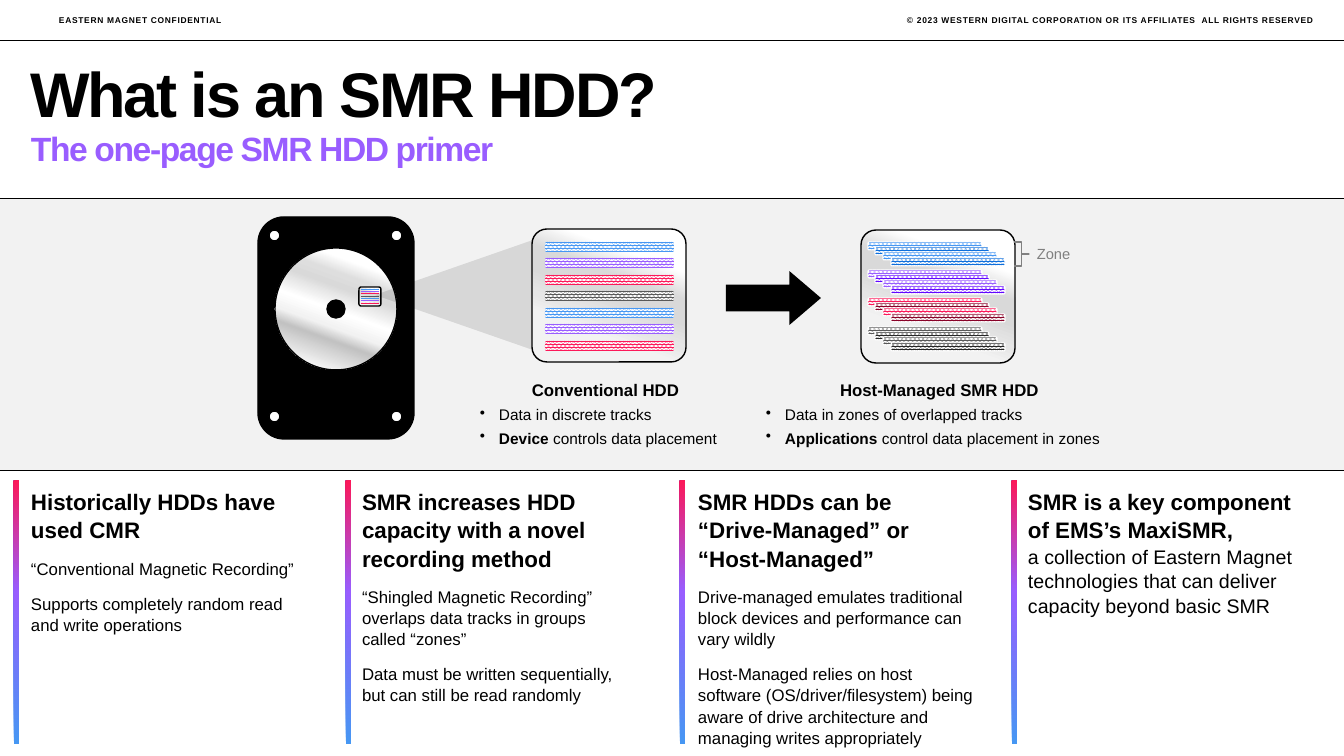
from dataclasses import dataclass

from lxml import etree
from pptx import Presentation
from pptx import util as u
from pptx.dml import color
from pptx.enum import dml, shapes, text
from pptx.oxml import ns

RGB = color.RGBColor
BLACK = RGB(0x00, 0x00, 0x00)
WHITE = RGB(0xFF, 0xFF, 0xFF)
BAND_GREY = RGB(0xF2, 0xF2, 0xF2)
ZONE_GREY = RGB(0x80, 0x80, 0x80)
BLUE = RGB(0x46, 0x97, 0xF3)
DEEP_BLUE = RGB(0x0E, 0x6F, 0xDC)
PURPLE = RGB(0x99, 0x5D, 0xFF)
DEEP_PURPLE = RGB(0x62, 0x06, 0xFF)
PINK = RGB(0xFC, 0x18, 0x59)
DEEP_PINK = RGB(0x88, 0x02, 0x28)
GREY = RGB(0x59, 0x59, 0x59)
DEEP_GREY = RGB(0x26, 0x26, 0x26)
SILVER = RGB(0xD9, 0xD9, 0xD9)
LIGHT_SILVER = RGB(0xDE, 0xDE, 0xDE)
PALE = RGB(0xE6, 0xE6, 0xE6)
DARK_SILVER = RGB(0xC2, 0xC2, 0xC2)

PLATTER_STOPS = ((18, WHITE), (28, LIGHT_SILVER), (36, SILVER), (51, WHITE),
                 (62, BAND_GREY), (70, DARK_SILVER), (88, BAND_GREY))
WINDOW_STOPS = ((23, WHITE), (38, SILVER), (50, SILVER), (63, PALE), (73, BAND_GREY))
BAR_STOPS = ((0, BLUE), (58, PURPLE), (100, PINK))
TRACK_COLOURS = (BLUE, PURPLE, PINK, GREY, BLUE, PURPLE, PINK)
ZONE_COLOURS = ((BLUE, DEEP_BLUE), (PURPLE, DEEP_PURPLE),
                (PINK, DEEP_PINK), (GREY, DEEP_GREY))

Kind = shapes.MSO_SHAPE
Align = text.PP_ALIGN
Anchor = text.MSO_ANCHOR


@dataclass(frozen=True)
class Box:
    x: int
    y: int
    w: int
    h: int


@dataclass(frozen=True)
class Run:
    words: str
    size: float
    bold: bool = False


@dataclass(frozen=True)
class Para:
    runs: tuple[Run, ...]
    bullet: bool = False
    align: Align = Align.LEFT


@dataclass(frozen=True)
class Topic:
    bar_x: int
    x: int
    w: int
    paras: tuple[Para, ...]


def px(n: float) -> int:
    return round(n * 914400 / 100.8)


def line(*runs: Run, bullet: bool = False, align: Align = Align.LEFT) -> Para:
    return Para(runs, bullet, align)


def heading(words: str) -> Para:
    return line(Run(words, 16, True))


def body(words: str) -> Para:
    return line(Run(words, 12))


def add_text(slide, box: Box, paras: tuple[Para, ...], *, colour=BLACK,
             insets=(0, 0, 0, 0), anchor=Anchor.TOP, spacing=None,
             before=0, after=0, tracking=0) -> None:
    frame = slide.shapes.add_textbox(px(box.x), px(box.y), px(box.w), px(box.h)).text_frame
    frame.word_wrap = True
    frame.vertical_anchor = anchor
    (frame.margin_left, frame.margin_top,
     frame.margin_right, frame.margin_bottom) = (px(n) for n in insets)
    for i, para in enumerate(paras):
        p = frame.add_paragraph() if i else frame.paragraphs[0]
        if para.bullet:
            props = p._p.get_or_add_pPr()
            props.set("marL", str(px(19)))
            props.set("indent", str(px(-19)))
            etree.SubElement(props, ns.qn("a:buChar"), char="•")
        p.alignment = para.align
        p.line_spacing = spacing
        p.space_before = u.Pt(before if i else 0)
        p.space_after = u.Pt(after)
        for run in para.runs:
            for k, piece in enumerate(run.words.split("\n")):
                if k:
                    p.add_line_break()
                    etree.SubElement(p._p[-1], ns.qn("a:rPr"), sz=str(int(run.size * 100)))
                if piece:
                    r = p.add_run()
                    r.text = piece
                    r.font.name = "Arial"
                    r.font.size = u.Pt(run.size)
                    r.font.bold = run.bold
                    r.font.color.rgb = colour
                    if tracking:
                        r.font._element.set("spc", str(int(tracking * 100)))


def add_shape(slide, kind: Kind, box: Box, *, fill=None, outline=None, width=1.0, adjust=()):
    shape = slide.shapes.add_shape(kind, px(box.x), px(box.y), px(box.w), px(box.h))
    shape.shadow.inherit = False
    for i, value in enumerate(adjust):
        shape.adjustments[i] = value
    if fill is None:
        shape.fill.background()
    else:
        shape.fill.solid()
        shape.fill.fore_color.rgb = fill
    if outline is None:
        shape.line.fill.background()
    else:
        shape.line.color.rgb = outline
        shape.line.width = u.Pt(width)
    return shape


def shade(shape, stops: tuple, angle: int) -> None:
    shape.fill.gradient()
    shape.fill.gradient_angle = 360 - angle
    stop_list = shape.element.spPr.find(".//" + ns.qn("a:gsLst"))
    stop_list.clear()
    for pos, rgb in stops:
        stop = etree.SubElement(stop_list, ns.qn("a:gs"), pos=str(pos * 1000))
        etree.SubElement(stop, ns.qn("a:srgbClr"), val=str(rgb))


def add_track(slide, box: Box, colour: RGB, outline=None) -> None:
    track = add_shape(slide, Kind.ROUNDED_RECTANGLE, box, outline=outline, width=0.75)
    track.fill.patterned()
    track.fill.pattern = dml.MSO_PATTERN.PERCENT_80
    track.fill.fore_color.rgb = colour
    track.fill.back_color.rgb = WHITE


def add_window(slide, box: Box) -> None:
    window = add_shape(slide, Kind.ROUNDED_RECTANGLE, box, outline=BLACK, adjust=(0.112,))
    shade(window, WINDOW_STOPS, 110)


def add_rule(slide, y: int) -> None:
    rule = slide.shapes.add_connector(shapes.MSO_CONNECTOR.STRAIGHT, 0, px(y), px(1344), px(y))
    rule.line.color.rgb = BLACK
    rule.line.width = u.Pt(0.5)
    etree.SubElement(rule.element.spPr, ns.qn("a:effectLst"))


def add_drive(slide) -> None:
    add_shape(slide, Kind.ROUNDED_RECTANGLE, Box(258, 217, 156, 222), fill=BLACK, outline=BLACK)
    platter = add_shape(slide, Kind.OVAL, Box(275, 248, 122, 122), outline=BLACK)
    shade(platter, PLATTER_STOPS, 110)
    add_shape(slide, Kind.OVAL, Box(327, 300, 18, 18), fill=BLACK, outline=BLACK)
    for y in (230, 411):
        for x in (269, 391):
            add_shape(slide, Kind.OVAL, Box(x, y, 11, 11), fill=WHITE, outline=BLACK)
    add_window(slide, Box(359, 287, 22, 19))
    for i, colour in enumerate(TRACK_COLOURS):
        add_track(slide, Box(361, 289 + i * 7 // 3, 18, 1), colour)


def add_layouts(slide) -> None:
    cone = add_shape(slide, Kind.ISOSCELES_TRIANGLE, Box(399, 216, 110, 158), fill=BLACK)
    cone.rotation = 270
    tint = cone.element.spPr.find(ns.qn("a:solidFill"))[0]
    etree.SubElement(tint, ns.qn("a:alpha"), val="11000")
    add_window(slide, Box(532, 229, 154, 133))
    add_window(slide, Box(861, 230, 154, 133))
    for i, colour in enumerate(TRACK_COLOURS):
        add_track(slide, Box(545, 242 + i * 33 // 2, 129, 10), colour)
    for i, pair in enumerate(ZONE_COLOURS):
        for j in range(4):
            place = Box(868 + j * 23 // 3, 242 + i * 85 // 3 + j * 16 // 3, 114, 8)
            add_track(slide, place, pair[j % 2], WHITE)
    add_shape(slide, Kind.RIGHT_ARROW, Box(726, 271, 95, 54), fill=BLACK, adjust=(0.5, 0.585))
    add_shape(slide, Kind.RIGHT_BRACE, Box(1014, 242, 15, 24), outline=ZONE_GREY, adjust=(0, 0.5))
    add_text(slide, Box(1027, 240, 80, 28), (line(Run("Zone", 10.5)),),
             colour=ZONE_GREY, insets=(10, 5, 10, 5))


CAPTIONS = (
    (Box(470, 374, 271, 77), "Conventional HDD", "Data in discrete tracks",
     "Device", " controls data placement"),
    (Box(756, 374, 367, 77), "Host-Managed SMR HDD", "Data in zones of overlapped tracks",
     "Applications", " control data placement in zones"),
)
TOPICS = (
    Topic(14, 30, 281, (
        heading("Historically HDDs have used CMR"),
        body("“Conventional Magnetic Recording”"),
        body("Supports completely random read and write operations"))),
    Topic(346, 361, 263, (
        heading("SMR increases HDD capacity with a novel recording method"),
        body("“Shingled Magnetic Recording” overlaps data tracks in groups called “zones”"),
        body("Data must be written sequentially, but can still be read randomly"))),
    Topic(680, 697, 281, (
        heading("SMR HDDs can be\n“Drive-Managed” or “Host-Managed”"),
        body("Drive-managed emulates traditional block devices and performance can vary wildly"),
        body("Host-Managed relies on host software (OS/driver/filesystem) being aware of "
             "drive architecture and managing writes appropriately"))),
    Topic(1012, 1027, 281, (
        line(Run("SMR is a key component of EMS’s MaxiSMR,\n", 16, True),
             Run("a collection of Eastern Magnet technologies that can deliver "
                 "capacity beyond basic SMR", 14)),)),
)


def main() -> None:
    deck = Presentation()
    deck.slide_width, deck.slide_height = px(1344), px(756)
    slide = deck.slides.add_slide(deck.slide_layouts[6])
    add_shape(slide, Kind.RECTANGLE, Box(0, 199, 1344, 272), fill=BAND_GREY)
    for y in (40, 198, 470):
        add_rule(slide, y)
    for box, words, align in (
        (Box(693, 15, 620, 10), "© 2023 WESTERN DIGITAL CORPORATION OR ITS AFFILIATES  "
         "ALL RIGHTS RESERVED", Align.RIGHT),
        (Box(59, 15, 180, 10), "EASTERN MAGNET CONFIDENTIAL", Align.LEFT),
    ):
        add_text(slide, box, (line(Run(words, 6, True), align=align),),
                 anchor=Anchor.MIDDLE, spacing=u.Pt(7.5), tracking=0.5)
    add_text(slide, Box(30, 62, 1284, 68), (line(Run("What is an SMR HDD?", 45, True)),),
             anchor=Anchor.BOTTOM, spacing=0.85, tracking=-1.5)
    add_text(slide, Box(30, 132, 1284, 45), (line(Run("The one-page SMR HDD primer", 24, True)),),
             colour=PURPLE, insets=(1, 0, 0, 0), spacing=0.9, after=10, tracking=-1)
    add_drive(slide)
    add_layouts(slide)
    for box, name, layout, controller, control in CAPTIONS:
        add_text(slide, box, (
            line(Run(name, 12, True), align=Align.CENTER),
            line(Run(layout, 11), bullet=True),
            line(Run(controller, 11, True), Run(control, 11), bullet=True),
        ), insets=(10, 5, 10, 5), spacing=1.05, after=3)
    for topic in TOPICS:
        add_text(slide, Box(topic.x, 487, topic.w, 265), topic.paras,
                 insets=(1, 0, 0, 0), spacing=1.05, before=6, after=4)
        bar = add_shape(slide, Kind.RECTANGLE, Box(topic.bar_x, 481, 5, 263))
        shade(bar, BAR_STOPS, 260)
    deck.save("out.pptx")


if __name__ == "__main__":
    main()
